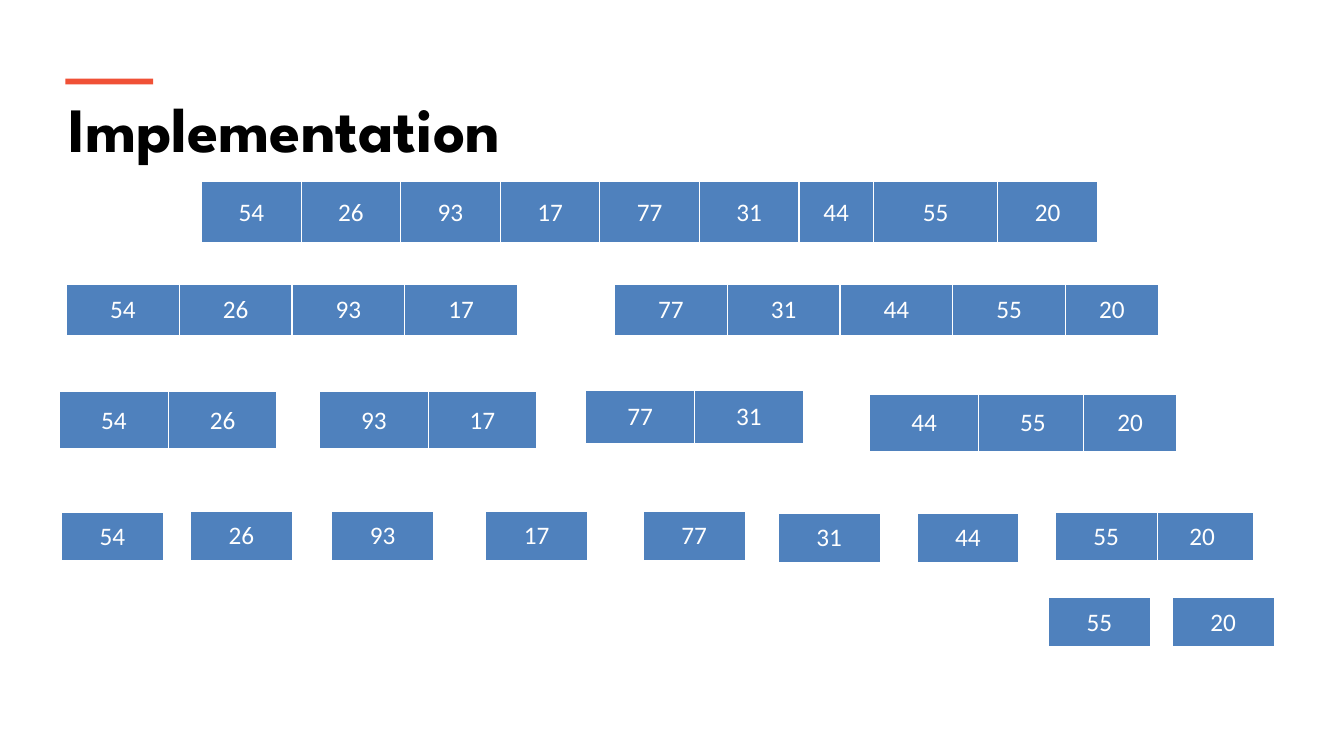
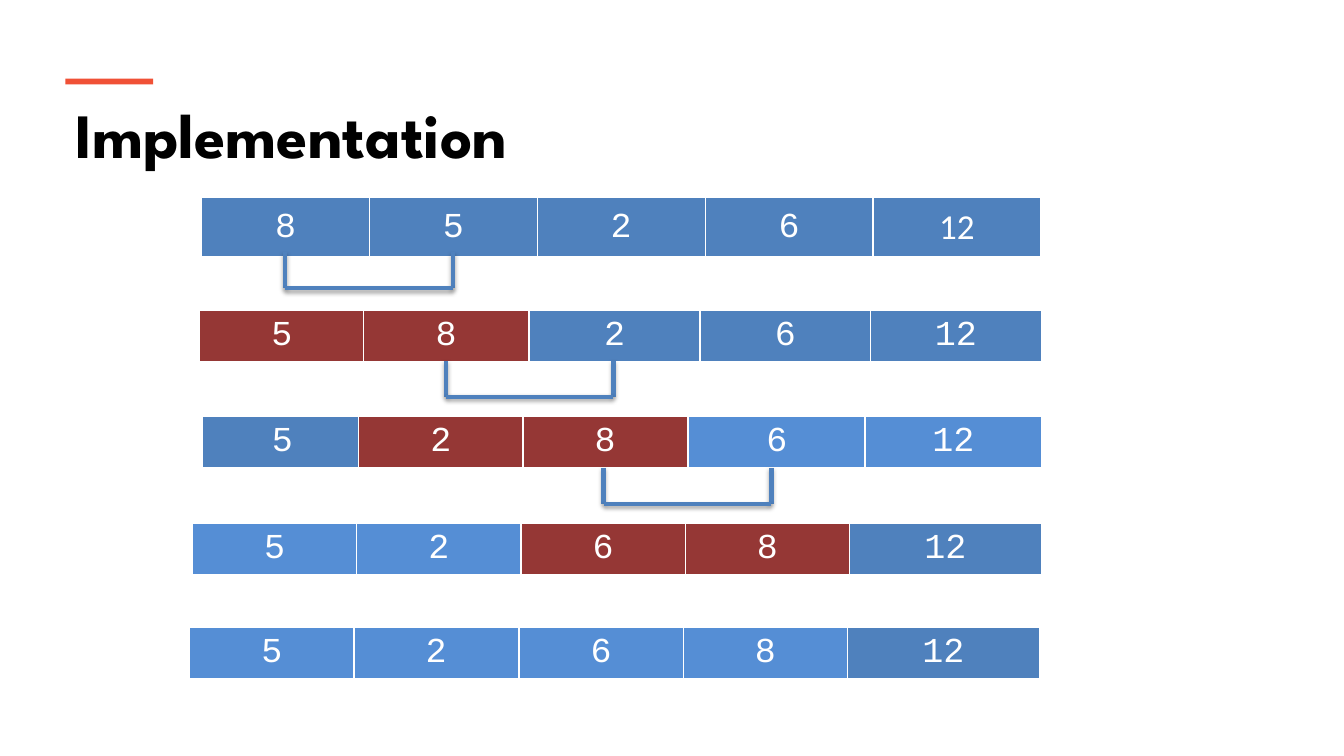
from dataclasses import dataclass

from pptx import Presentation
from pptx.dml.color import RGBColor
from pptx.enum.shapes import MSO_CONNECTOR, MSO_SHAPE
from pptx.enum.text import MSO_ANCHOR, MSO_AUTO_SIZE, PP_ALIGN
from pptx.oxml import parse_xml
from pptx.oxml.ns import nsdecls
from pptx.util import Cm, Pt


@dataclass(frozen=True)
class Theme:
    accent: str = "F05136"
    blue: str = "4F81BD"
    light_blue: str = "558ED5"
    red: str = "953735"
    black: str = "000000"
    white: str = "FFFFFF"
    title_font: str = "League Spartan"
    split_font: str = "Calibri"
    swap_font: str = "Courier New"
    title_size: int = 45
    split_size: int = 18
    swap_size: int = 25
    bracket_line: int = 3


THEME = Theme()


@dataclass(frozen=True)
class Block:
    """Adjoining cells of an array; lengths are centimetres."""
    left: float
    top: float
    height: float
    widths: list
    values: list
    fill: str = THEME.blue


SLIDE_SIZE = (33.87, 19.05)
TITLE = "Implementation"
TITLE_SIZE = (31.34, 2.18)
ACCENT_BAR = (1.65, 1.98, 2.21, 0.15)

QUARTER, PAIR, LAST, SINGLE = 2.84, 2.74, 2.34, 2.57
SPLIT_BLOCKS = [
    Block(5.08, 4.57, 1.57, [2.51] * 6 + [1.88, 3.13, 2.51],
          [54, 26, 93, 17, 77, 31, 44, 55, 20]),
    Block(1.68, 7.16, 1.32, [QUARTER] * 4, [54, 26, 93, 17]),
    Block(15.49, 7.16, 1.32, [QUARTER] * 4, [77, 31, 44, 55]),
    Block(26.85, 7.16, 1.32, [LAST], [20]),
    Block(1.5, 9.86, 1.47, [PAIR] * 2, [54, 26]),
    Block(8.05, 9.86, 1.47, [PAIR] * 2, [93, 17]),
    Block(14.76, 9.83, 1.37, [PAIR] * 2, [77, 31]),
    Block(21.92, 9.93, 1.47, [PAIR] * 2, [44, 55]),
    Block(27.31, 9.93, 1.47, [LAST], [20]),
]
# value, left, top of the one-number arrays
SINGLES = [
    (54, 1.55, 12.9), (26, 4.8, 12.88), (93, 8.36, 12.88),
    (17, 12.24, 12.88), (77, 16.21, 12.88), (31, 19.61, 12.93),
    (44, 23.11, 12.93), (20, 29.01, 12.9), (55, 26.59, 12.9),
    (55, 26.42, 15.06), (20, 29.54, 15.06),
]
SPLIT_BLOCKS += [Block(left, top, 1.27, [SINGLE], [value])
                 for value, left, top in SINGLES]

SWAP, END = 4.14, 4.83
SWAP_BLOCKS = [
    Block(5.08, 4.98, 1.52, [4.23] * 5, [8, 5, 2, 6, 12]),
    Block(13.34, 7.82, 1.32, [4.3] * 3, [2, 6, 12]),
    Block(5.03, 7.82, 1.32, [SWAP] * 2, [5, 8], THEME.red),
    Block(5.11, 10.49, 1.32, [4.01], [5]),
    Block(9.04, 10.49, 1.32, [SWAP] * 2, [2, 8], THEME.red),
    Block(17.35, 10.49, 1.32, [4.45] * 2, [6, 12], THEME.light_blue),
    Block(4.85, 13.18, 1.32, [SWAP] * 2, [5, 2], THEME.light_blue),
    Block(13.13, 13.18, 1.32, [SWAP] * 2, [6, 8], THEME.red),
    Block(21.41, 13.18, 1.32, [END], [12]),
    Block(4.78, 15.8, 1.32, [SWAP] * 2, [5, 2], THEME.light_blue),
    Block(13.08, 15.8, 1.32, [SWAP] * 2, [6, 8], THEME.light_blue),
    Block(21.36, 15.8, 1.32, [END], [12]),
]
BRACKETS = [(7.19, 6.35), (11.23, 9.09), (15.21, 11.79)]
BRACKET_WIDTH, BRACKET_DROP = 4.23, 0.91

TITLE_FORMAT = {"name": THEME.title_font, "size": Pt(THEME.title_size),
                "bold": True}
SPLIT_FORMAT = {"name": THEME.split_font, "size": Pt(THEME.split_size)}
SWAP_FORMAT = {"name": THEME.swap_font, "size": Pt(THEME.swap_size)}
CELL_BORDERS = {"lnL": 1, "lnR": 1, "lnT": 1, "lnB": 3}


def lengths(*values):
    return [Cm(value) for value in values]


def set_attributes(target, values):
    for name, value in values.items():
        setattr(target, name, value)


def write(paragraph, text, font_format, color):
    run = paragraph.add_run()
    run.text = str(text)
    set_attributes(run.font, font_format)
    run.font.color.rgb = RGBColor.from_string(color)
    return run


def paint(target, color):
    target.fill.solid()
    target.fill.fore_color.rgb = RGBColor.from_string(color)


def add_borders(cell):
    properties = cell._tc.get_or_add_tcPr()
    for index, (side, width) in enumerate(CELL_BORDERS.items()):
        properties.insert(index, parse_xml(
            f'<a:{side} {nsdecls("a")} w="{Pt(width)}"><a:solidFill>'
            f'<a:srgbClr val="{THEME.white}"/></a:solidFill></a:{side}>'))


def add_block(slide, block, font_format):
    frame = slide.shapes.add_table(
        1, len(block.values),
        *lengths(block.left, block.top, sum(block.widths), block.height))
    table = frame.table
    set_attributes(table, {"first_row": False, "horz_banding": False})
    for column, width, value in zip(table.columns, block.widths, block.values):
        column.width = Cm(width)
        cell = table.cell(0, list(block.values).index(value))
        cell.vertical_anchor = MSO_ANCHOR.MIDDLE
        paint(cell, block.fill)
        add_borders(cell)
        paragraph = cell.text_frame.paragraphs[0]
        paragraph.alignment = PP_ALIGN.CENTER
        write(paragraph, value, font_format, THEME.white)
    return table


def add_bracket(slide, left, top):
    """Join two neighbouring cells from below."""
    right, bottom = left + BRACKET_WIDTH, top + BRACKET_DROP
    for ends in [(left, top, left, bottom), (right, top, right, bottom),
                 (left, bottom, right, bottom)]:
        connector = slide.shapes.add_connector(
            MSO_CONNECTOR.STRAIGHT, *lengths(*ends))
        connector.line.width = Pt(THEME.bracket_line)
        connector.line.color.rgb = RGBColor.from_string(THEME.blue)
        connector._element.spPr.append(parse_xml(
            f'<a:effectLst {nsdecls("a")}><a:outerShdw blurRad="{Pt(3.1)}" '
            f'dist="{Pt(1.8)}" dir="5400000" rotWithShape="0">'
            f'<a:srgbClr val="{THEME.black}"><a:alpha val="35000"/>'
            '</a:srgbClr></a:outerShdw></a:effectLst>'))


def add_titled_slide(presentation, title_left, title_top):
    slide = presentation.slides.add_slide(presentation.slide_layouts[6])
    title = slide.shapes.add_textbox(
        *lengths(title_left, title_top, *TITLE_SIZE))
    set_attributes(title.text_frame, {
        "word_wrap": True, "auto_size": MSO_AUTO_SIZE.SHAPE_TO_FIT_TEXT})
    write(title.text_frame.paragraphs[0], TITLE, TITLE_FORMAT, THEME.black)
    bar = slide.shapes.add_shape(MSO_SHAPE.RECTANGLE, *lengths(*ACCENT_BAR))
    bar.shadow.inherit = False
    paint(bar, THEME.accent)
    bar.line.fill.background()
    return slide


def main():
    presentation = Presentation()
    presentation.slide_width, presentation.slide_height = lengths(*SLIDE_SIZE)

    split_slide = add_titled_slide(presentation, 1.47, 2.13)
    for block in SPLIT_BLOCKS:
        add_block(split_slide, block, SPLIT_FORMAT)

    swap_slide = add_titled_slide(presentation, 1.65, 2.29)
    tables = [add_block(swap_slide, block, SWAP_FORMAT)
              for block in SWAP_BLOCKS]
    last_cell = tables[0].cell(0, 4)
    last_cell.text_frame.paragraphs[0].runs[0].font.name = THEME.split_font
    for left, top in BRACKETS:
        add_bracket(swap_slide, left, top)

    presentation.save("out.pptx")


if __name__ == "__main__":
    main()
